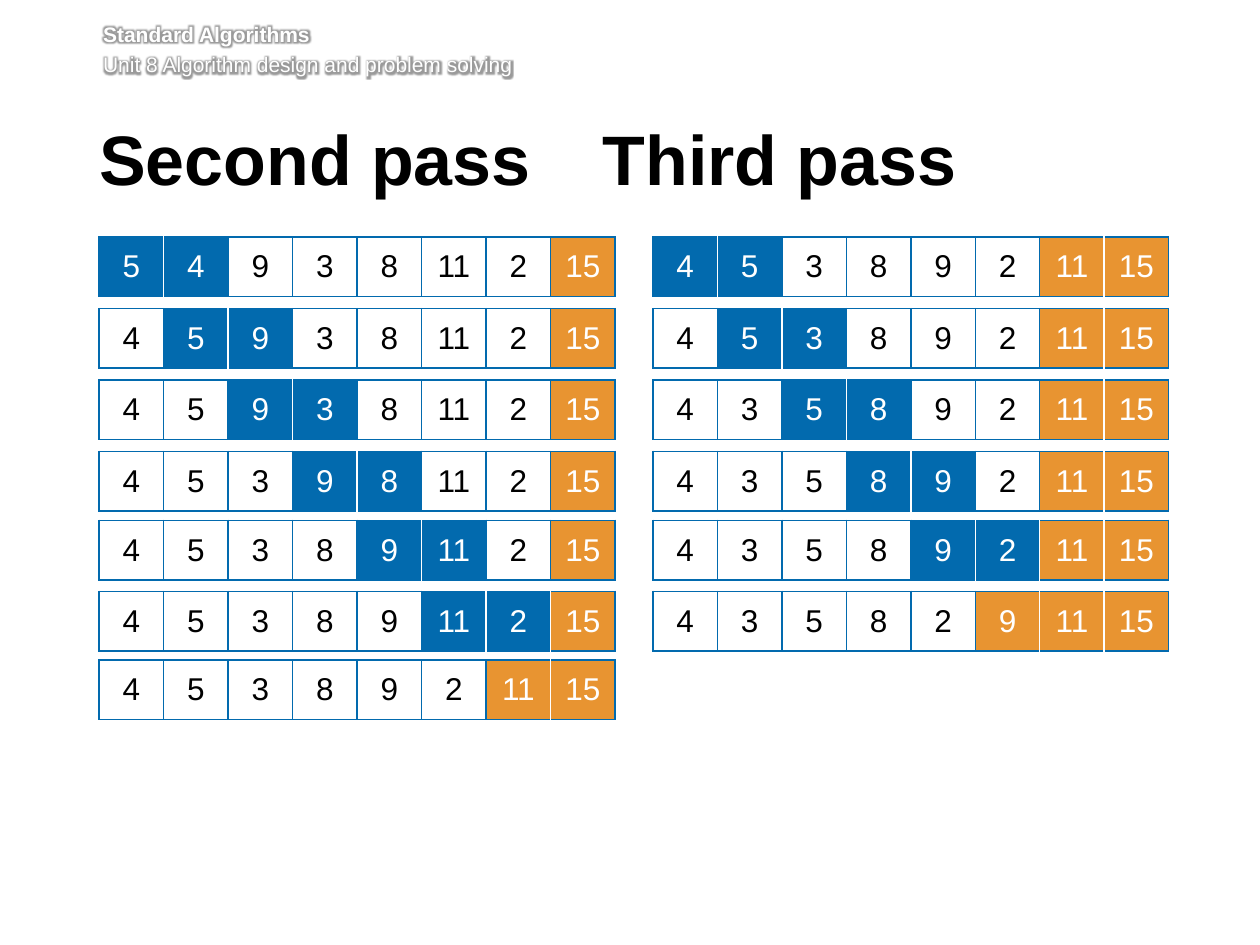
from dataclasses import dataclass

from lxml.etree import SubElement
from pptx import Presentation
from pptx.dml.color import RGBColor
from pptx.enum.text import MSO_ANCHOR, MSO_AUTO_SIZE, PP_ALIGN
from pptx.oxml import parse_xml
from pptx.oxml.ns import nsdecls, qn
from pptx.util import Cm, Pt


@dataclass(frozen=True)
class Theme:
    font: str = "Arial"
    blue: str = "026AAE"
    orange: str = "E89431"
    white: str = "FFFFFF"
    black: str = "000000"
    header_size: int = 12
    title_size: int = 40
    cell_size: int = 18


theme = Theme()


def style(r, size, color, bold=False):
    r.font.name = theme.font
    r.font.size = Pt(size)
    r.font.bold = bold
    r.font.color.rgb = RGBColor.from_string(color)


def add_border(cell, side, color):
    ln = SubElement(cell._tc.get_or_add_tcPr(), qn(f"a:ln{side}"), w=str(Pt(1)))
    fill = SubElement(ln, qn("a:solidFill"))
    SubElement(fill, qn("a:srgbClr"), val=color)


prs = Presentation()
prs.slide_width, prs.slide_height = Cm(25.4), Cm(19.05)
s = prs.slides.add_slide(prs.slide_layouts[5])

# Running header, white text with a soft dark glow
header = s.shapes.add_textbox(Cm(2.08), Cm(0.43), Cm(22.4), Cm(1.24))
tf = header.text_frame
tf.word_wrap = True
tf.margin_left = tf.margin_top = tf.margin_right = 0
tf.margin_bottom = Cm(0.13)
tf.text = "Standard Algorithms\nUnit 8 Algorithm design and problem solving"
tf.paragraphs[1].space_before = Pt(2.9)
for p, bold in zip(tf.paragraphs, (True, False)):
    r = p.runs[0]
    style(r, theme.header_size, theme.white, bold)
    glow = parse_xml(
        f'<a:effectLst {nsdecls("a")}><a:glow rad="{Pt(5)}"><a:srgbClr val="{theme.black}">'
        '<a:alpha val="40000"/></a:srgbClr></a:glow></a:effectLst>'
    )
    r._r.rPr.find(qn("a:latin")).addprevious(glow)

# Title, with a tab stop that starts the second heading
title = s.shapes.title
title.left, title.top, title.width, title.height = Cm(2), Cm(2.51), Cm(21.72), Cm(1.85)
tf = title.text_frame
tf.text = "Second pass \tThird pass"
tf.word_wrap = True
tf.auto_size = MSO_AUTO_SIZE.NONE
tf.vertical_anchor = MSO_ANCHOR.TOP
tf.margin_left = 0
tf.margin_top = tf.margin_bottom = Cm(0.13)
p = tf.paragraphs[0]
p.alignment = PP_ALIGN.LEFT
p.line_spacing = Pt(39)
tabs = SubElement(p._p.get_or_add_pPr(), qn("a:tabLst"))
SubElement(tabs, qn("a:tab"), pos=str(Cm(10.15)), algn="l")
for r in p.runs:
    style(r, theme.title_size, theme.black, True)

# Bubble sort: one table per comparison, then one for the end of the pass
row_tops = [4.78, 6.22, 7.66, 9.1, 10.49, 11.92, 13.3]
cell_width, cell_height = 1.3, 1.2
values = [5, 4, 9, 3, 8, 11, 2, 15]
count = len(values)

for pass_left, sorted_count in ((2, 1), (13.16, 2)):
    comparisons = count - sorted_count - 1
    for step in range(comparisons + 1):
        finished = step == comparisons
        first_sorted = count - sorted_count - finished
        fills = [theme.orange if i >= first_sorted else None for i in range(count)]
        if not finished:
            fills[step] = fills[step + 1] = theme.blue

        frame = s.shapes.add_table(1, count, Cm(pass_left), Cm(row_tops[step]),
                                   Cm(cell_width * count), Cm(cell_height))
        table = frame.table
        table.first_row = table.horz_banding = False
        for i, value in enumerate(values):
            table.columns[i].width = Cm(cell_width)
            cell = table.cell(0, i)
            cell.text = str(value)
            cell.vertical_anchor = MSO_ANCHOR.MIDDLE
            p = cell.text_frame.paragraphs[0]
            p.alignment = PP_ALIGN.CENTER
            style(p.runs[0], theme.cell_size, theme.white if fills[i] else theme.black)

            # Neighbouring filled cells are divided by a white line
            left_filled = i > 0 and fills[i - 1]
            right_filled = i < count - 1 and fills[i + 1]
            add_border(cell, "L", theme.white if fills[i] and left_filled else theme.blue)
            add_border(cell, "R", theme.white if fills[i] and right_filled else theme.blue)
            add_border(cell, "T", theme.blue)
            add_border(cell, "B", theme.blue)
            if fills[i]:
                cell.fill.solid()
                cell.fill.fore_color.rgb = RGBColor.from_string(fills[i])
            else:
                cell.fill.background()

        # Swap the compared pair when it is out of order
        if not finished and values[step] > values[step + 1]:
            values[step], values[step + 1] = values[step + 1], values[step]

prs.save("out.pptx")
